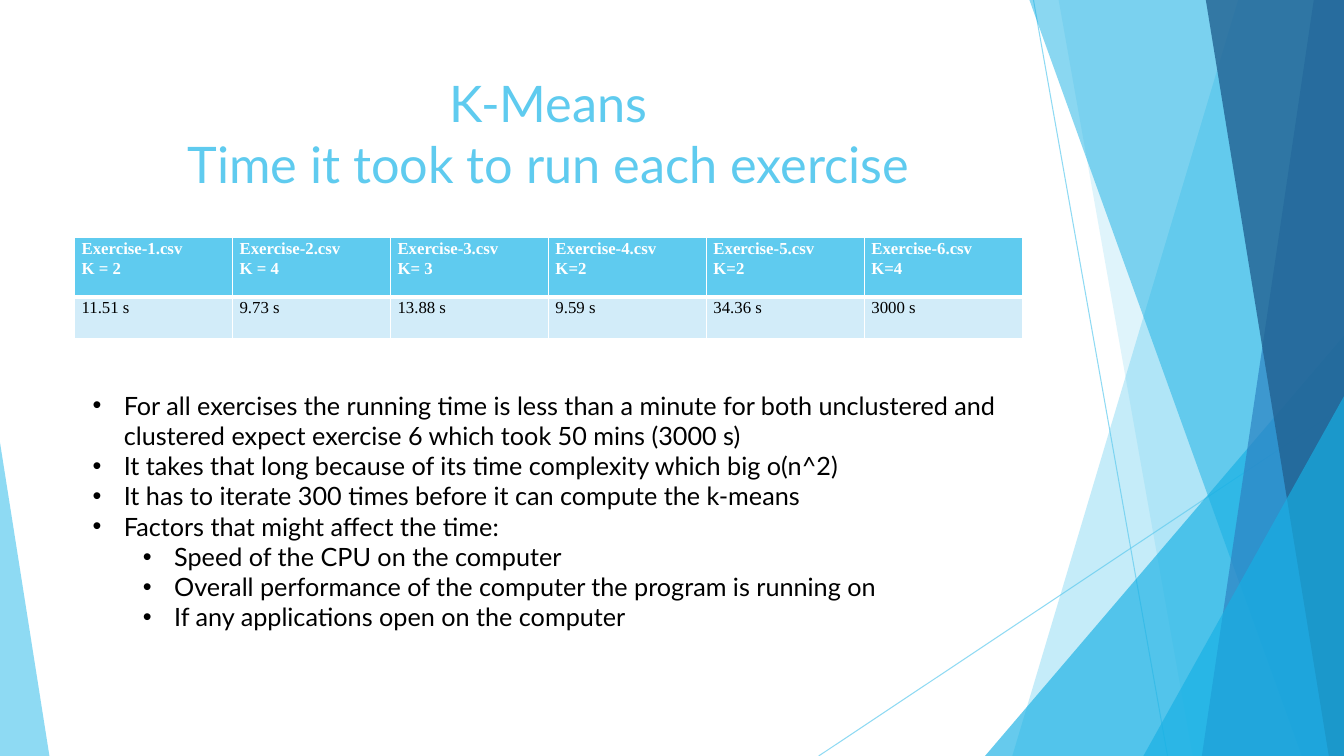
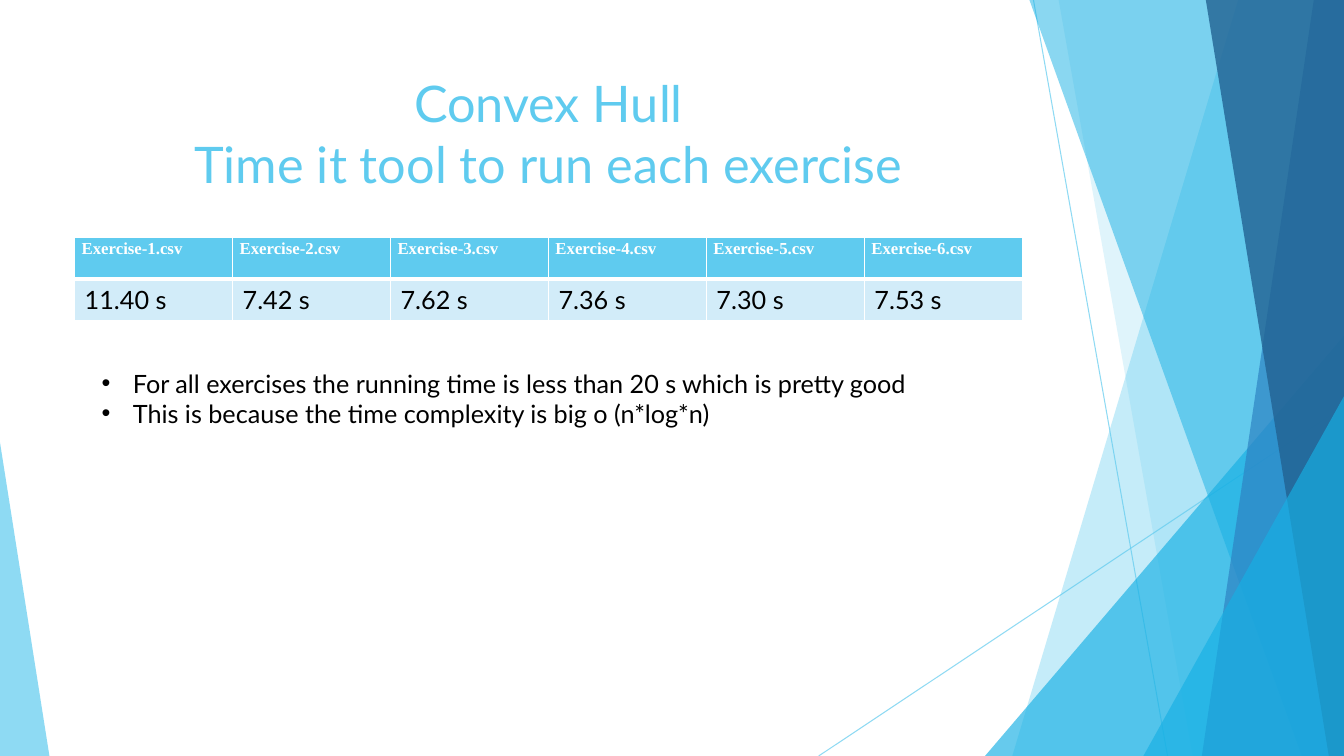
import pptx
import pptx.dml.color
import pptx.enum.shapes
import pptx.enum.text
import pptx.oxml
import pptx.oxml.ns
import pptx.util
import lxml.etree

Inches = pptx.util.Inches
ALIGN = pptx.enum.text.PP_ALIGN
SLIDE_WIDTH, SLIDE_HEIGHT = 13.33, 7.5

SKY, CYAN, BLUE, NAVY = "5FCBEF", "17B0E4", "2E83C3", "226292"
PALE, WHITE, BLACK = "D2ECF9", "FFFFFF", "000000"

TITLE = {"name": "Lato", "size": pptx.util.Pt(36), "color": SKY}
BODY = {"name": "Lato", "size": pptx.util.Pt(18), "color": BLACK, "bold": False}
SMALL = {"name": "Times New Roman", "size": pptx.util.Pt(12), "color": BLACK, "bold": False}
HEADER = {**SMALL, "color": WHITE, "bold": True}

TIGHT_CELL = {"margin_left": Inches(0.07), "margin_right": Inches(0.07),
              "margin_top": 0, "margin_bottom": 0}
TITLE_BOX = (0.74, 0.67, 9.4, 1.44)

# Back to front: bands run from a slanted left edge (top x, bottom x) to the
# slide's right side; triangles have a box and an apex position.
FACETS = [
    ("band", (12.28, 10.04), SKY, 36),
    ("band", (10.5, 11.83), SKY, 20),
    ("triangle", (9.77, 3.33, 3.56, 4.17, 1), CYAN, 66),
    ("band", (10.21, 12.91), CYAN, 50),
    ("band", (13.03, 11.92), BLUE, 70),
    ("band", (11.96, 13.18), NAVY, 80),
    ("triangle", (11.34, 3.93, 1.99, 3.57, 1), CYAN, 66),
    ("triangle", (0, 4.39, 0.49, 3.11, 0), SKY, 70),
]
RAYS = [(10.25, 0, 11.58, 7.5), (13.33, 4.03, 8.12, 7.5)]


def rgb(value):
    return pptx.dml.color.RGBColor.from_string(value)


def add_element(parent, tag, **attributes):
    element = pptx.oxml.ns.qn(tag)
    return lxml.etree.SubElement(parent, element, attributes)


def paint(fill, color, opacity):
    """Give a shape or line fill a solid colour with opacity in percent."""
    fill.solid()
    fill.fore_color.rgb = rgb(color)
    color_element = fill._xPr.find(".//" + pptx.oxml.ns.qn("a:srgbClr"))
    add_element(color_element, "a:alpha", val=str(opacity * 1000))


def write(paragraph, text, format_values):
    paragraph.text = text
    for run in paragraph.runs:
        for name, value in format_values.items():
            if name == "color":
                run.font.color.rgb = rgb(value)
            else:
                setattr(run.font, name, value)


def add_text_box(slide, box):
    frame = slide.shapes.add_textbox(*map(Inches, box)).text_frame
    frame.word_wrap = True
    return frame


def add_band(shapes, top_x, bottom_x):
    points = [(top_x, 0), (SLIDE_WIDTH, 0), (SLIDE_WIDTH, SLIDE_HEIGHT), (bottom_x, SLIDE_HEIGHT)]
    corners = [(Inches(x), Inches(y)) for x, y in points]
    builder = shapes.build_freeform(*corners[0])
    builder.add_line_segments(corners[1:], close=True)
    return builder.convert_to_shape()


def add_triangle(shapes, left, top, width, height, apex):
    triangle = shapes.add_shape(pptx.enum.shapes.MSO_SHAPE.ISOSCELES_TRIANGLE,
                                *map(Inches, (left, top, width, height)))
    triangle.adjustments[0] = apex
    return triangle


def add_backdrop(slide):
    shapes = slide.shapes.add_group_shape().shapes
    for ends in RAYS:
        ray = shapes.add_connector(pptx.enum.shapes.MSO_CONNECTOR.STRAIGHT, *map(Inches, ends))
        ray.line.width = pptx.util.Pt(0.75)
        paint(ray.line.fill, SKY, 70)
        add_element(ray._element.spPr, "a:effectLst")
    builders = {"band": add_band, "triangle": add_triangle}
    for kind, geometry, color, opacity in FACETS:
        facet = builders[kind](shapes, *geometry)
        facet.shadow.inherit = False
        facet.line.fill.background()
        paint(facet.fill, color, opacity)


def add_title(slide, lines):
    paragraph = add_text_box(slide, TITLE_BOX).paragraphs[0]
    write(paragraph, "\v".join(lines), TITLE)
    paragraph.alignment = ALIGN.CENTER


def set_borders(cell, bottom_points):
    properties = cell._tc.get_or_add_tcPr()
    for side, points in (("L", 1), ("R", 1), ("T", 1), ("B", bottom_points)):
        line = add_element(properties, "a:ln" + side, w=str(pptx.util.Pt(points)))
        add_element(add_element(line, "a:solidFill"), "a:srgbClr", val=WHITE)


def fill_cell(cell, text, format_values, color, bottom_points, tight):
    set_borders(cell, bottom_points)
    cell.fill.solid()
    cell.fill.fore_color.rgb = rgb(color)
    if tight:
        for name, value in TIGHT_CELL.items():
            setattr(cell, name, value)
    frame = cell.text_frame
    for index, line in enumerate(text.split("\n")):
        paragraph = frame.add_paragraph() if index else frame.paragraphs[0]
        write(paragraph, line, format_values)
        if tight:
            paragraph.line_spacing = 1.07


def add_times_table(slide, box, headings, times, row_heights, time_format):
    table = slide.shapes.add_table(2, len(headings), *map(Inches, box)).table
    for row, height in zip(table.rows, row_heights):
        row.height = Inches(height)
    for column, (heading, time) in enumerate(zip(headings, times)):
        fill_cell(table.cell(0, column), heading, HEADER, SKY, 3, True)
        fill_cell(table.cell(1, column), time, time_format, PALE, 1, time_format is SMALL)


def add_bullets(slide, box, items):
    """Write (level, text) items as a bulleted list."""
    frame = add_text_box(slide, box)
    for index, (level, text) in enumerate(items):
        paragraph = frame.add_paragraph() if index else frame.paragraphs[0]
        write(paragraph, text, BODY)
        paragraph.level = level
        properties = paragraph._p.get_or_add_pPr()
        properties.set("marL", str(Inches(0.31 + 0.5 * level)))
        properties.set("indent", str(Inches(-0.31)))
        add_element(properties, "a:buFont", typeface="Arial")
        add_element(properties, "a:buChar", char="•")


def add_timing_slide(presentation, title, clusters, times, row_heights, time_format,
                     bullet_box, bullets):
    slide = presentation.slides.add_slide(presentation.slide_layouts[6])
    add_backdrop(slide)
    add_title(slide, title)
    headings = [f"Exercise-{number}.csv" + (f"\n{cluster}" if cluster else "")
                for number, cluster in enumerate(clusters, 1)]
    table_box = (0.74, 2.36, 9.4, sum(row_heights))
    add_times_table(slide, table_box, headings, times, row_heights, time_format)
    add_bullets(slide, bullet_box, bullets)


def main():
    presentation = pptx.Presentation()
    presentation.slide_width = Inches(SLIDE_WIDTH)
    presentation.slide_height = Inches(SLIDE_HEIGHT)
    add_timing_slide(
        presentation,
        title=["K-Means", "Time it took to run each exercise"],
        clusters=["K = 2", "K = 4", "K= 3", "K=2", "K=2", "K=4"],
        times=["11.51 s", "9.73 s", "13.88 s", "9.59 s", "34.36 s", "3000 s"],
        row_heights=(0.59, 0.41),
        time_format=SMALL,
        bullet_box=(0.82, 3.82, 9.83, 3.13),
        bullets=[
            (0, "For all exercises the running time is less than a minute for both "
                "unclustered and clustered expect exercise 6 which took 50 mins (3000 s)"),
            (0, "It takes that long because of its time complexity which big o(n^2)"),
            (0, "It has to iterate 300 times before it can compute the k-means"),
            (0, "Factors that might affect the time:"),
            (1, "Speed of the CPU on the computer"),
            (1, "Overall performance of the computer the program is running on"),
            (1, "If any applications open on the computer"),
        ])
    add_timing_slide(
        presentation,
        title=["Convex Hull", "Time it tool to run each exercise"],
        clusters=[""] * 6,
        times=["11.40 s", "7.42 s", "7.62 s", "7.36 s", "7.30 s", "7.53 s"],
        row_heights=(0.41, 0.41),
        time_format=BODY,
        bullet_box=(0.91, 3.6, 8.55, 0.71),
        bullets=[
            (0, "For all exercises the running time is less than 20 s which is pretty good"),
            (0, "This is because the time complexity is big o (n*log*n)"),
        ])
    presentation.save("out.pptx")


if __name__ == "__main__":
    main()
